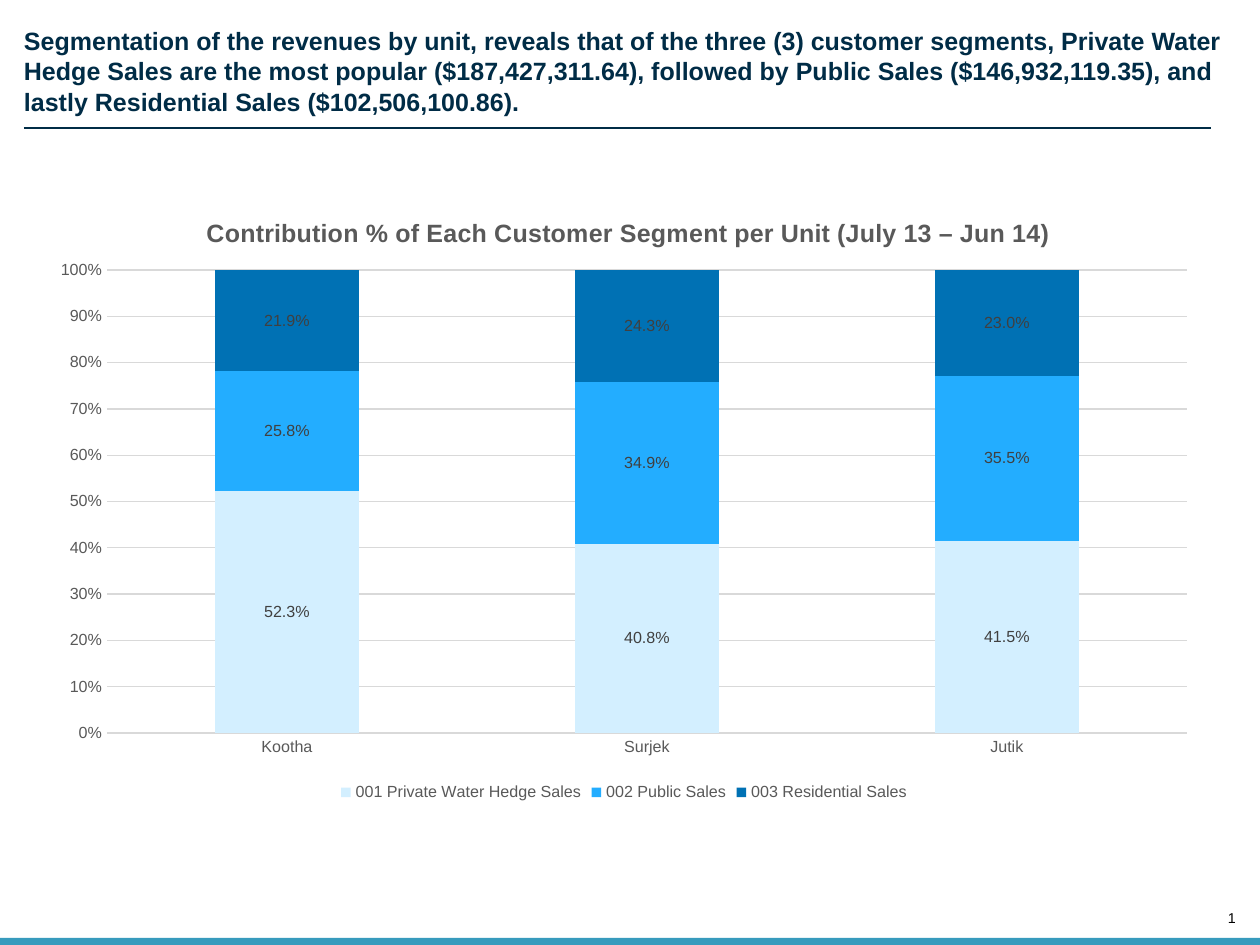
from lxml import etree
from pptx import Presentation
from pptx.chart.data import CategoryChartData
from pptx.dml.color import RGBColor
from pptx.enum.chart import XL_CHART_TYPE, XL_LABEL_POSITION, XL_LEGEND_POSITION, XL_TICK_MARK
from pptx.enum.shapes import MSO_CONNECTOR, MSO_SHAPE
from pptx.enum.text import MSO_ANCHOR, PP_ALIGN
from pptx.oxml.ns import qn
from pptx.util import Pt

STACKED = XL_CHART_TYPE.COLUMN_STACKED_100
CENTER = XL_LABEL_POSITION.CENTER
BOTTOM = XL_LEGEND_POSITION.BOTTOM
NO_TICK = XL_TICK_MARK.NONE
STRAIGHT = MSO_CONNECTOR.STRAIGHT
RECT = MSO_SHAPE.RECTANGLE
TOP, BASE = MSO_ANCHOR.TOP, MSO_ANCHOR.BOTTOM
LEFT, RIGHT = PP_ALIGN.LEFT, PP_ALIGN.RIGHT

SCALE = 7112
THEME = {
    "font": "Arial", "navy": "002C46", "black": "000000", "band": "379BBD",
    "gray": "595959", "dark": "404040", "grid": "D9D9D9",
    "head": 14, "small": 9, "page": 8, "line": 0.75,
}
HEAD = ("Segmentation of the revenues by unit, reveals that of the three (3) "
        "customer segments, Private Water Hedge Sales are the most popular "
        "($187,427,311.64), followed by Public Sales ($146,932,119.35), and "
        "lastly Residential Sales ($102,506,100.86).")
TITLE = "Contribution % of Each Customer Segment per Unit (July 13 – Jun 14)"
UNITS = ["Kootha", "Surjek", "Jutik"]
SALES = [
    ("001 Private Water Hedge Sales", "D3EFFF", (0.523, 0.408, 0.415)),
    ("002 Public Sales", "23ADFF", (0.258, 0.349, 0.355)),
    ("003 Residential Sales", "0071B4", (0.219, 0.243, 0.230)),
]


def style(font, size, color, bold=False):
    looks = {"name": THEME["font"], "size": Pt(THEME[size]), "bold": bold}
    for key, value in looks.items():
        setattr(font, key, value)
    font.color.rgb = RGBColor.from_string(THEME[color])


def place(parent, index, parts):
    for old in parent.findall(qn("c:layout")):
        parent.remove(old)
    layout = etree.Element(qn("c:layout"))
    manual = etree.SubElement(layout, qn("c:manualLayout"))
    for tag, value in parts.items():
        etree.SubElement(manual, qn("c:" + tag)).set("val", str(value))
    parent.insert(index, layout)


deck = Presentation()
deck.slide_width, deck.slide_height = 1260 * SCALE, 945 * SCALE
slide = deck.slides.add_slide(deck.slide_layouts[6])
shapes = slide.shapes

band = shapes.add_shape(RECT, 0, 938 * SCALE, 1260 * SCALE, 7 * SCALE)
band.shadow.inherit = False
band.fill.solid()
band.fill.fore_color.rgb = RGBColor.from_string(THEME["band"])
band.line.fill.background()

for text, box, size, color, bold, wrap, anchor, align in [
    (HEAD, (24, 26, 1229, 91), "head", "navy", True, True, TOP, LEFT),
    ("1", (1218, 909, 18, 17), "page", "black", False, False, BASE, RIGHT),
]:
    frame = shapes.add_textbox(*(n * SCALE for n in box)).text_frame
    setup = {"margin_left": 0, "margin_right": 0, "margin_top": 0,
             "margin_bottom": 0, "word_wrap": wrap, "vertical_anchor": anchor}
    for key, value in setup.items():
        setattr(frame, key, value)
    para = frame.paragraphs[0]
    para.alignment = align
    run = para.add_run()
    run.text = text
    style(run.font, size, color, bold)

rule = shapes.add_connector(STRAIGHT, 24 * SCALE, 128 * SCALE, 1211 * SCALE, 128 * SCALE)
rule.line.color.rgb = RGBColor.from_string(THEME["navy"])
rule.line.width = Pt(THEME["line"])
etree.SubElement(rule._element.spPr, qn("a:effectLst"))

data = CategoryChartData(number_format="0.0%")
data.categories = UNITS
for name, color, values in SALES:
    data.add_series(name, values)
left, top, width, height = 37, 186, 1174, 621
chart = shapes.add_chart(STACKED, *(n * SCALE for n in (left, top, width, height)), data).chart
style(chart.font, "small", "gray")

chart.has_title = True
frame = chart.chart_title.text_frame
frame.text = TITLE
style(frame.paragraphs[0].runs[0].font, "head", "gray", True)
chart.chart_title.include_in_layout = False
place(chart.chart_title._element, 1, {
    "xMode": "edge", "yMode": "edge",
    "x": round((202 - left) / width, 4), "y": round((212 - top) / height, 4)})
place(chart._chartSpace.chart.plotArea, 0, {
    "layoutTarget": "inner", "xMode": "edge", "yMode": "edge",
    "x": round((107 - left) / width, 4), "y": round((270 - top) / height, 4),
    "w": round(1080 / width, 4), "h": round(463 / height, 4)})

chart.has_legend = True
chart.legend.position = BOTTOM
chart.legend.include_in_layout = False
style(chart.legend.font, "small", "gray")

units, share = chart.category_axis, chart.value_axis
for axis in (units, share):
    axis.major_tick_mark = axis.minor_tick_mark = NO_TICK
    style(axis.tick_labels.font, "small", "gray")
share.minimum_scale, share.maximum_scale, share.major_unit = 0, 1, 0.1
share.tick_labels.number_format = "0%"
share.tick_labels.number_format_is_linked = False
share.format.line.fill.background()
share.has_major_gridlines = True
for line in (units.format.line, share.major_gridlines.format.line):
    line.color.rgb = RGBColor.from_string(THEME["grid"])
    line.width = Pt(THEME["line"])

plot = chart.plots[0]
for key, value in {"gap_width": 150, "overlap": 100, "vary_by_categories": False}.items():
    setattr(plot, key, value)
for series, (name, color, values) in zip(plot.series, SALES):
    series.format.fill.solid()
    series.format.fill.fore_color.rgb = RGBColor.from_string(color)
    labels = series.data_labels
    looks = {"show_value": True, "position": CENTER,
             "number_format": "0.0%", "number_format_is_linked": False}
    for key, value in looks.items():
        setattr(labels, key, value)
    style(labels.font, "small", "dark")

deck.save("out.pptx")
